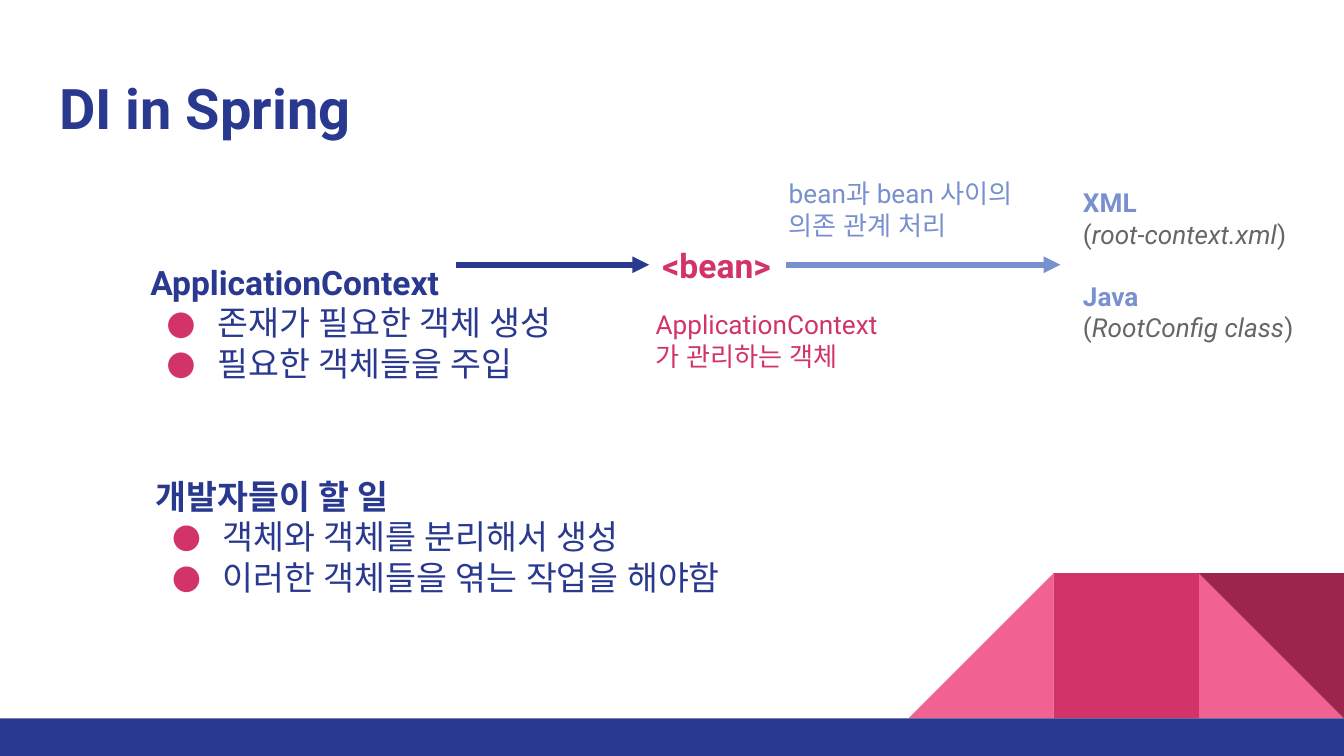
from dataclasses import dataclass

from lxml import etree
from pptx import Presentation
from pptx import util as u
from pptx.dml.color import RGBColor
from pptx.enum import shapes, text
from pptx.oxml import ns


@dataclass(frozen=True)
class Theme:
    font: str = "Roboto"
    navy: str = "2A3990"
    sky: str = "7890CD"
    gray: str = "666666"
    crimson: str = "D23369"
    pink: str = "F06292"
    wine: str = "9C254D"
    title: int = 30
    heading: int = 18
    note: int = 14
    arrow: int = 3


theme = Theme()
WIDTH = 10
HEIGHT = WIDTH * 9 / 16
TILE, BAND = 1.08, 0.28
FLOW_Y = 1.97

TITLE = ("DI in Spring", (0.34, 0.45, 4.66, 0.66))
LISTS = [
    ("ApplicationContext", ["존재가 필요한 객체 생성", "필요한 객체들을 주입"],
     (1.02, 1.7, 3.51, 1.21)),
    ("개발자들이 할 일", ["객체와 객체를 분리해서 생성", "이러한 객체들을 엮는 작업을 해야함"],
     (1.06, 3.29, 5.24, 1.42)),
]
LABELS = [
    ("<bean>", theme.heading, theme.crimson, True, (4.83, 1.79, 1.02, 0.36)),
    ("ApplicationContext가 관리하는 객체", theme.note, theme.crimson, False,
     (4.78, 2.15, 2.01, 0.76)),
    ("bean과 bean 사이의 의존 관계 처리", theme.note, theme.sky, False,
     (5.77, 1.2, 2.01, 0.71)),
]
CONFIGS = [("XML", "root-context.xml"), ("Java", "RootConfig class")]
CONFIG_AREA = (7.96, 1.26, 2.04, 1.42)
ARROWS = [(3.39, 4.83, theme.navy), (5.85, 7.89, theme.sky)]
TILES = [
    (1, shapes.MSO_SHAPE.RIGHT_TRIANGLE, theme.pink, 0, False),
    (3, shapes.MSO_SHAPE.RIGHT_TRIANGLE, theme.pink, 0, True),
    (2, shapes.MSO_SHAPE.RECTANGLE, theme.crimson, 0, False),
    (1, shapes.MSO_SHAPE.RIGHT_TRIANGLE, theme.wine, 180, False),
]


def inches(area):
    return [u.Inches(length) for length in area]


def add_block(page, kind, area, color):
    block = page.shapes.add_shape(kind, *inches(area))
    block.shadow.inherit = False
    block.fill.solid()
    block.fill.fore_color.rgb = RGBColor.from_string(color)
    block.line.fill.background()
    return block


def set_frame(box, anchor):
    frame = box.text_frame
    frame.word_wrap = True
    frame.auto_size = text.MSO_AUTO_SIZE.NONE
    frame.vertical_anchor = anchor
    frame.margin_left = frame.margin_right = u.Inches(0.1)
    frame.margin_top = frame.margin_bottom = u.Inches(0.1)
    return frame


def add_frame(page, area, anchor=text.MSO_ANCHOR.MIDDLE):
    return set_frame(page.shapes.add_textbox(*inches(area)), anchor)


def set_font(font, size, color, bold=False):
    font.name = theme.font
    font.size = u.Pt(size)
    font.bold = bold
    font.color.rgb = RGBColor.from_string(color)
    for script in ("a:ea", "a:cs"):
        etree.SubElement(font._rPr, ns.qn(script), typeface=theme.font)


def write(para, words, size, color, bold=False):
    para.text = words
    para.alignment = text.PP_ALIGN.LEFT
    set_font(para.font, size, color, bold)


def add_bullet(para):
    props = para._p.get_or_add_pPr()
    props.set("marL", str(u.Inches(0.5)))
    props.set("indent", str(u.Inches(-0.38)))
    color = etree.SubElement(props, ns.qn("a:buClr"))
    etree.SubElement(color, ns.qn("a:srgbClr"), val=theme.crimson)
    etree.SubElement(props, ns.qn("a:buFont"), typeface=theme.font)
    etree.SubElement(props, ns.qn("a:buChar"), char="●")


def add_list(page, heading, items, area):
    frame = add_frame(page, area, text.MSO_ANCHOR.TOP)
    write(frame.paragraphs[0], heading, theme.heading, theme.navy, True)
    frame.paragraphs[0].line_spacing = 1.5
    for item in items:
        para = frame.add_paragraph()
        add_bullet(para)
        write(para, item, theme.heading, theme.navy)


def add_configs(page):
    frame = add_frame(page, CONFIG_AREA)
    for index, (name, source) in enumerate(CONFIGS):
        para = frame.add_paragraph() if index else frame.paragraphs[0]
        write(para, name, theme.note, theme.sky, True)
        if index:
            para.space_before = u.Pt(16.5)
        para = frame.add_paragraph()
        set_font(para.font, theme.note, theme.gray)
        for words, italic in [("(", False), (source, True), (")", False)]:
            span = para.add_run()
            span.text = words
            span.font.italic = italic


def add_arrow(page, start, end, color):
    arrow = page.shapes.add_connector(
        shapes.MSO_CONNECTOR.STRAIGHT, *inches((start, FLOW_Y, end, FLOW_Y)))
    arrow.line.width = u.Pt(theme.arrow)
    arrow.line.color.rgb = RGBColor.from_string(color)
    etree.SubElement(arrow.line._get_or_add_ln(), ns.qn("a:tailEnd"), type="triangle")
    etree.SubElement(arrow._element.spPr, ns.qn("a:effectLst"))


def add_decoration(page):
    top = HEIGHT - BAND - TILE
    for column, kind, color, rotation, flipped in TILES:
        tile = add_block(page, kind, (WIDTH - column * TILE, top, TILE, TILE), color)
        tile.rotation = rotation
        if flipped:
            tile._element.spPr.find(ns.qn("a:xfrm")).set("flipH", "1")
    add_block(page, shapes.MSO_SHAPE.RECTANGLE,
              (0, HEIGHT - BAND, WIDTH, BAND), theme.navy)


def main():
    deck = Presentation()
    deck.slide_width, deck.slide_height = inches((WIDTH, HEIGHT))
    page = deck.slides.add_slide(deck.slide_layouts.get_by_name("Title Only"))
    add_decoration(page)

    words, area = TITLE
    title = page.shapes.title
    title.left, title.top, title.width, title.height = inches(area)
    frame = set_frame(title, text.MSO_ANCHOR.TOP)
    write(frame.paragraphs[0], words, theme.title, theme.navy, True)

    for heading, items, area in LISTS:
        add_list(page, heading, items, area)
    for start, end, color in ARROWS:
        add_arrow(page, start, end, color)
    for words, size, color, bold, area in LABELS:
        write(add_frame(page, area).paragraphs[0], words, size, color, bold)
    add_configs(page)
    deck.save("out.pptx")


if __name__ == "__main__":
    main()
